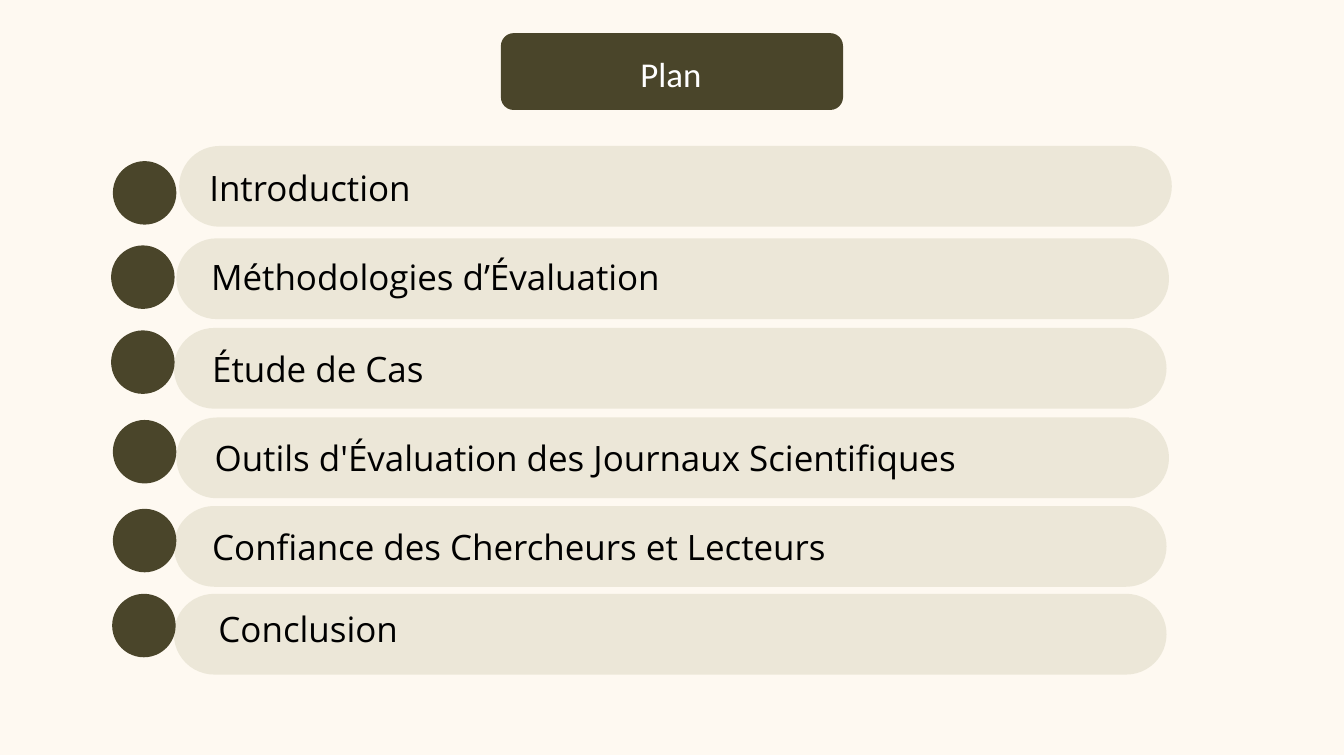
from lxml.etree import SubElement
from pptx import Presentation
from pptx.dml.color import RGBColor
from pptx.enum.shapes import MSO_SHAPE as Shape
from pptx.enum.text import MSO_ANCHOR as Anchor, MSO_AUTO_SIZE as AutoSize, PP_ALIGN as Align
from pptx.oxml.ns import qn
from pptx.util import Cm, Pt

COLORS = {"page": "FEF9F1", "dark": "4A452A", "bar": "DDD9C3",
          "text": "000000", "title": "FFFFFF"}
TITLE = "Plan"

# label, (bar left, top), (dot left, top), text left, text lift: all in cm
ITEMS = [
    ("Introduction", (5.08, 4.14), (3.2, 4.57), 5.94, -0.04),
    ("Méthodologies d’Évaluation", (5.0, 6.76), (3.15, 6.96), 5.99, 0.06),
    ("Étude de Cas", (4.93, 9.3), (3.15, 9.37), 6.02, 0),
    ("Outils d'Évaluation des Journaux Scientifiques", (5.0, 11.84), (3.2, 11.91), 6.09, 0),
    ("Confiance des Chercheurs et Lecteurs", (4.93, 14.35), (3.2, 14.43), 6.02, 0),
    ("Conclusion", (4.93, 16.84), (3.18, 16.84), 6.2, 0.17),
]
BAR_W, BAR_H, DOT = 28.14, 2.29, 1.8
BAR_OPACITY = 54
ROUND_INSET = 0.34  # text inset that the rounded ends add by themselves
PAD = 0.13


def rgb(name):
    return RGBColor.from_string(COLORS[name])


def add_filled(shapes, kind, left, top, width, height, color):
    sp = shapes.add_shape(kind, Cm(left), Cm(top), Cm(width), Cm(height))
    sp.shadow.inherit = False
    sp.fill.solid()
    sp.fill.fore_color.rgb = rgb(color)
    sp.line.fill.background()
    return sp


def write(sp, text, font, size, color, align):
    tf = sp.text_frame
    tf.word_wrap = True
    tf.auto_size = AutoSize.NONE
    tf.vertical_anchor = Anchor.MIDDLE
    p = tf.paragraphs[0]
    p.alignment = align
    r = p.add_run()
    r.text = text
    r.font.name = font
    r.font.size = Pt(size)
    r.font.color.rgb = rgb(color)
    return tf


def set_opacity(sp, percent):
    color = sp.fill._xPr.find(qn("a:solidFill"))[0]
    SubElement(color, qn("a:alpha")).set("val", str(percent * 1000))


def main():
    prs = Presentation()
    prs.slide_width, prs.slide_height = Cm(38.1), Cm(21.41)
    s = prs.slides.add_slide(prs.slide_layouts[5])
    s.background.fill.solid()
    s.background.fill.fore_color.rgb = rgb("page")

    # Title on its dark plate
    plate = add_filled(s.shapes, Shape.ROUNDED_RECTANGLE, 14.2, 0.94, 9.7, 2.18, "dark")
    title = s.shapes.title
    title.left, title.top, title.width, title.height = Cm(16.05), Cm(1.35), Cm(5.94), Cm(1.45)
    write(title, TITLE, "Calibri", 28, "title", Align.CENTER)
    title._element.addprevious(plate._element)

    # Plan entries: a translucent bar with its label, and a dot
    for label, bar_at, dot_at, text_left, lift in ITEMS:
        bar = add_filled(s.shapes, Shape.ROUNDED_RECTANGLE, *bar_at, BAR_W, BAR_H, "bar")
        bar.adjustments[0] = 0.5
        set_opacity(bar, BAR_OPACITY)
        tf = write(bar, label, "Open Sans", 28.1, "text", Align.LEFT)
        tf.margin_left = Cm(text_left - bar_at[0] - ROUND_INSET)
        tf.margin_top, tf.margin_bottom = Cm(PAD - lift), Cm(PAD + lift)
        add_filled(s.shapes, Shape.OVAL, *dot_at, DOT, DOT, "dark")

    prs.save("out.pptx")


if __name__ == "__main__":
    main()
